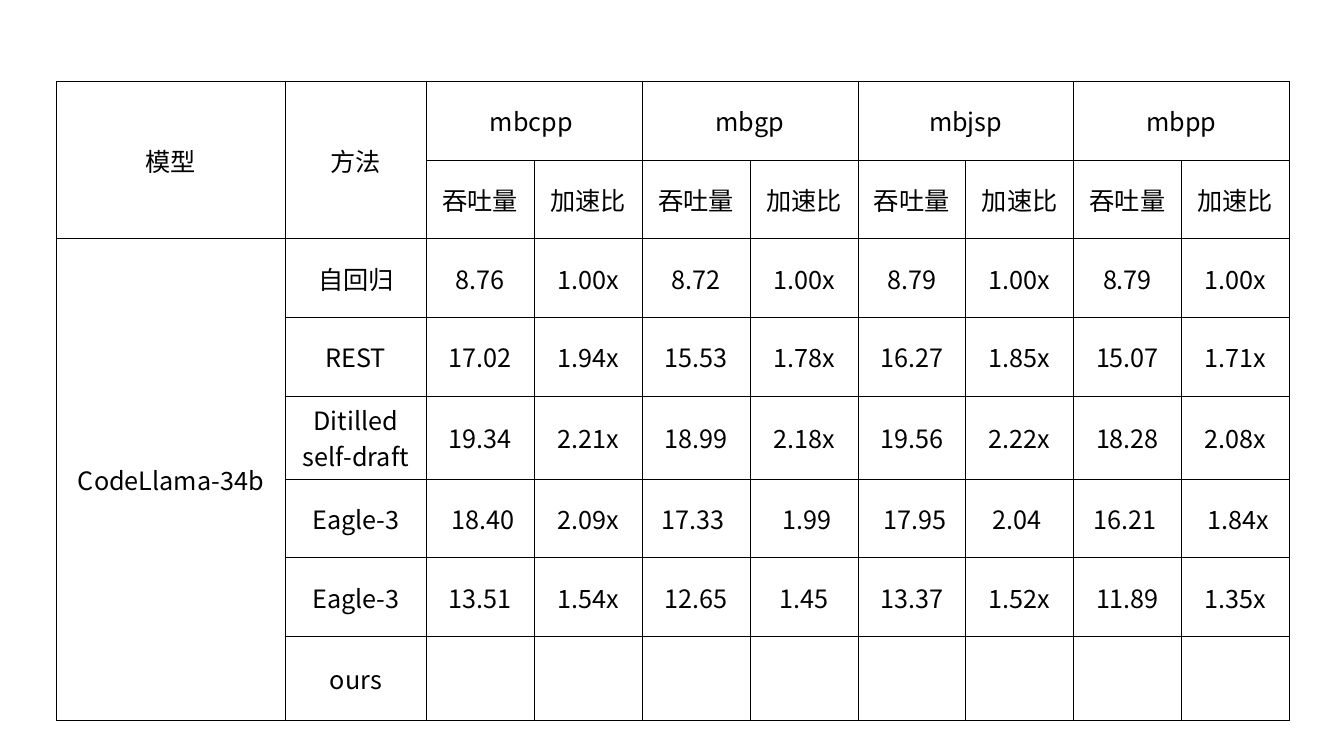
from dataclasses import dataclass

from lxml import etree
from pptx import Presentation
from pptx.dml.color import RGBColor
from pptx.enum.text import MSO_ANCHOR, PP_ALIGN
from pptx.oxml.ns import qn
from pptx.table import Table, _Cell
from pptx.util import Inches, Pt

CENTER = PP_ALIGN.CENTER
MIDDLE = MSO_ANCHOR.MIDDLE
COLORS = {"ink": "000000"}
FONT = "Noto Sans CJK SC"
THIN, THICK = 0.6, 1
WIDTHS = [2.27, 1.4] + [1.07] * 8
HEIGHTS = [0.78] * 7 + [0.83]


@dataclass
class Head:
    """A merged heading cell."""
    row: int
    col: int
    rows: int
    cols: int
    text: str


@dataclass
class Method:
    """A method with its throughput and speedup values."""
    name: str
    values: str = "|||||||"


HEADS = [Head(0, 0, 2, 1, "模型"), Head(0, 1, 2, 1, "方法"),
         Head(2, 0, 6, 1, "CodeLlama-34b")]
HEADS += [Head(0, 2 + 2 * i, 1, 2, name)
          for i, name in enumerate(["mbcpp ", "mbgp", "mbjsp", "mbpp"])]
METHODS = [
    Method("自回归", "8.76|1.00x|8.72|1.00x|8.79|1.00x|8.79|1.00x"),
    Method("REST", "17.02|1.94x|15.53|1.78x|16.27|1.85x|15.07|1.71x"),
    Method("Ditilled self-draft",
           "19.34|2.21x|18.99|2.18x|19.56|2.22x|18.28|2.08x"),
    Method("Eagle-3", " 18.40|2.09x|17.33 | 1.99| 17.95|2.04 |16.21 | 1.84x"),
    Method("Eagle-3", "13.51|1.54x|12.65|1.45|13.37|1.52x|11.89|1.35x"),
    Method("ours"),
]


def write(cell: _Cell, text: str) -> None:
    """Put centred text in a cell."""
    para = cell.text_frame.paragraphs[0]
    para.text = text
    para.alignment = CENTER
    for run in para.runs:
        run.font.size = Pt(18)
        run.font.name = FONT
        run.font.color.rgb = RGBColor.from_string(COLORS["ink"])
        east = etree.SubElement(run.font._element, qn("a:ea"))
        east.set("typeface", FONT)


def border(cell: _Cell, side: str, width: float) -> None:
    """Draw one edge of a cell."""
    props = cell._tc.get_or_add_tcPr()
    line = etree.SubElement(props, qn(f"a:ln{side}"), w=str(Pt(width)))
    fill = etree.SubElement(line, qn("a:solidFill"))
    etree.SubElement(fill, qn("a:srgbClr"), val=COLORS["ink"])


def dress(cell: _Cell, row: int) -> None:
    """Set the margins, edges and fill of a cell."""
    cell.margin_left = cell.margin_right = Inches(0.06)
    cell.margin_top = cell.margin_bottom = Inches(0.05)
    cell.vertical_anchor = MIDDLE
    end = row + (cell.span_height if cell.is_merge_origin else 1)
    border(cell, "L", THIN)
    border(cell, "R", THIN)
    border(cell, "T", THICK if row else THIN)
    border(cell, "B", THICK if end < len(HEIGHTS) else THIN)
    cell.fill.background()


def fill_table(table: Table) -> None:
    """Size, merge and fill the results table."""
    table.first_row = table.horz_banding = False
    for col, width in zip(table.columns, WIDTHS):
        col.width = Inches(width)
    for row, height in zip(table.rows, HEIGHTS):
        row.height = Inches(height)
    for head in HEADS:
        cell = table.cell(head.row, head.col)
        cell.merge(table.cell(head.row + head.rows - 1,
                              head.col + head.cols - 1))
        write(cell, head.text)
    for col in range(2, len(WIDTHS)):
        write(table.cell(1, col), "加速比" if col % 2 else "吞吐量")
    for row, method in enumerate(METHODS, 2):
        for col, text in enumerate([method.name, *method.values.split("|")], 1):
            write(table.cell(row, col), text)
    for row in range(len(HEIGHTS)):
        for col in range(len(WIDTHS)):
            dress(table.cell(row, col), row)


def main() -> None:
    """Build the slide and save it."""
    deck = Presentation()
    deck.slide_width, deck.slide_height = Inches(13.33), Inches(7.5)
    slide = deck.slides.add_slide(deck.slide_layouts[6])
    frame = slide.shapes.add_table(
        len(HEIGHTS), len(WIDTHS), Inches(0.56), Inches(0.81),
        Inches(12.22), Inches(6.28))
    fill_table(frame.table)
    deck.save("out.pptx")


if __name__ == "__main__":
    main()
